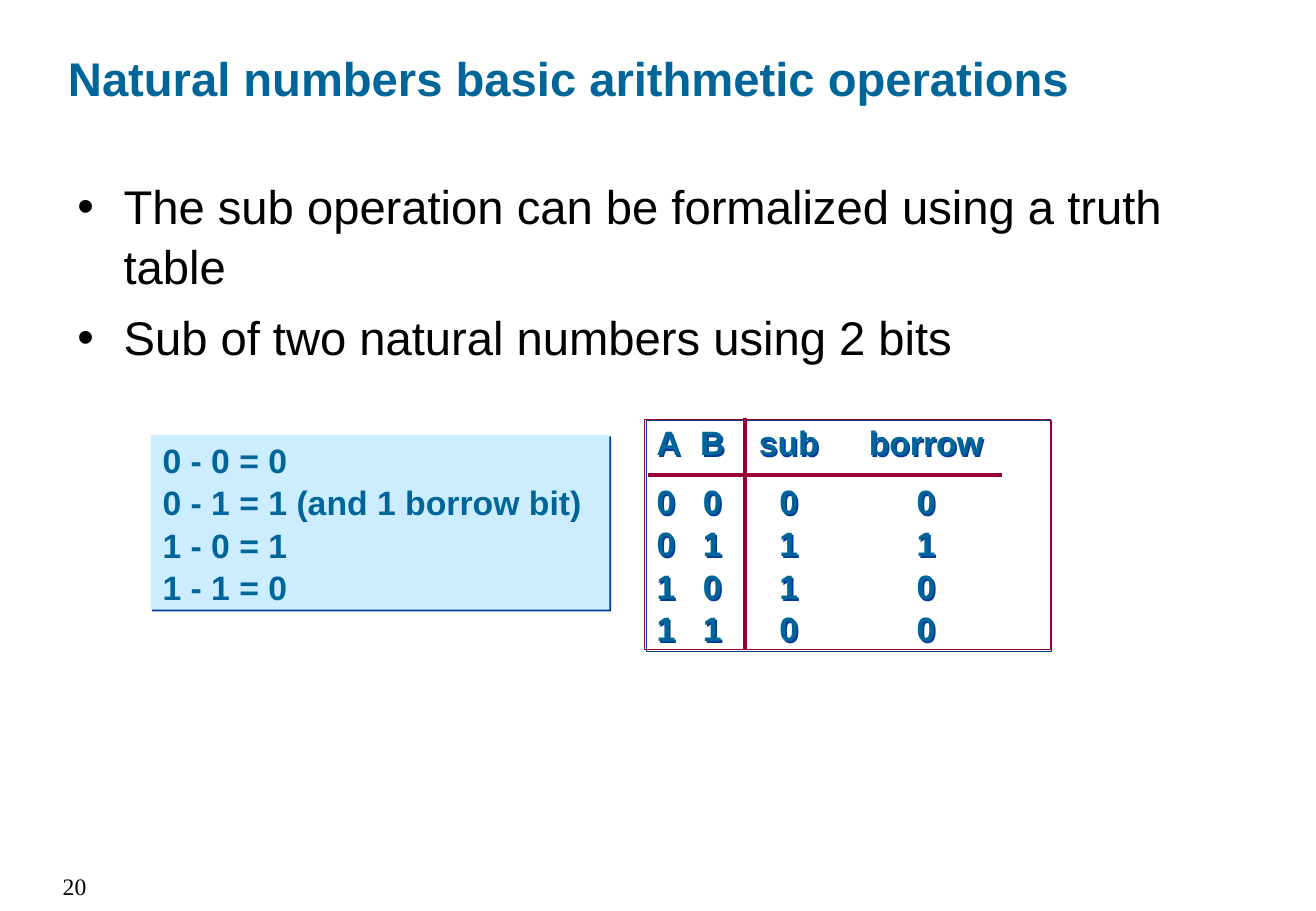
from lxml.etree import SubElement
from pptx import Presentation
from pptx.dml.color import RGBColor
from pptx.enum.shapes import MSO_CONNECTOR as Link, MSO_SHAPE as Form
from pptx.enum.text import MSO_ANCHOR as Anchor, MSO_AUTO_SIZE as Fit, PP_ALIGN as Align
from pptx.oxml.ns import qn
from pptx.util import Inches, Pt

BLUE, RED, PALE, NAVY, BLACK = "006699", "990033", "CCECFF", "003D99", "000000"
SUMS = ["0 - 0 = 0", "0 - 1 = 1 (and 1 borrow bit)", "1 - 0 = 1", "1 - 1 = 0"]
ROWS = [("A", "B", "sub", "borrow"), (0, 0, 0, 0), (0, 1, 1, 1), (1, 0, 1, 0), (1, 1, 0, 0)]
STOPS = [0.46, 1.09, 2.22]
POINTS = ["The sub operation can be formalized using a truth table",
          "Sub of two natural numbers using 2 bits"]


def color(code):
    return RGBColor.from_string(code)


def place(shape, box):
    shape.left, shape.top, shape.width, shape.height = map(Inches, box)


def write(shape, lines, size=20, tint=BLUE, bold=True, face="Arial",
          align=Align.LEFT, anchor=Anchor.MIDDLE, gaps=(), pitch=1.05,
          stops=(), bullet=None):
    frame = shape.text_frame
    frame.word_wrap, frame.auto_size = True, Fit.NONE
    frame.vertical_anchor = anchor
    frame.margin_left = frame.margin_right = Inches(0.1)
    frame.margin_top = frame.margin_bottom = Inches(0.05)
    for i, line in enumerate(lines):
        para = frame.add_paragraph() if i else frame.paragraphs[0]
        para.text = line
        para.alignment, para.line_spacing = align, pitch
        para.space_before = Pt(gaps[i] if i < len(gaps) else 0)
        props = para._p.get_or_add_pPr()
        if bullet:
            props.set("marL", str(Inches(0.38)))
            props.set("indent", str(-Inches(0.38)))
            SubElement(props, qn("a:buFont"), typeface="Arial")
            SubElement(props, qn("a:buChar"), char=bullet)
        if stops:
            tabs = SubElement(props, qn("a:tabLst"))
            for stop in stops:
                SubElement(tabs, qn("a:tab"), pos=str(Inches(stop)), algn="ctr")
        font = para.font
        font.size, font.bold, font.name = Pt(size), bold, face
        font.color.rgb = color(tint)


def label(slide, box, lines, **style):
    write(slide.shapes.add_textbox(*map(Inches, box)), lines, **style)


def panel(slide, box, fill=None, edge=None):
    shape = slide.shapes.add_shape(Form.RECTANGLE, *map(Inches, box))
    if fill:
        shape.fill.solid()
        shape.fill.fore_color.rgb = color(fill)
    else:
        shape.fill.background()
    if edge:
        shape.line.color.rgb, shape.line.width = color(edge), Pt(0.5)
    else:
        shape.line.fill.background()
    shape.shadow.inherit = False
    effects = shape._element.spPr.find(qn("a:effectLst"))
    shade = SubElement(effects, qn("a:outerShdw"), dist=str(Pt(1.4)),
                       dir="2700000", algn="ctr", rotWithShape="0")
    SubElement(shade, qn("a:srgbClr"), val=NAVY)
    return shape


def rule(slide, *ends):
    line = slide.shapes.add_connector(Link.STRAIGHT, *map(Inches, ends))
    line.line.color.rgb, line.line.width = color(RED), Pt(2.25)
    SubElement(line._element.spPr, qn("a:effectLst"))


def heading(slide, box):
    title = slide.shapes.title
    place(title, box)
    write(title, ["Natural numbers basic arithmetic operations"], size=28,
          anchor=Anchor.BOTTOM)


def truth(slide, box):
    left, top, width, height = box
    lines = ["\t".join(map(str, row)) for row in ROWS]
    write(panel(slide, box, edge=RED), lines, gaps=(0, 9.5), stops=STOPS)
    rule(slide, left + 0.03, top + 0.46, left + 2.94, top + 0.46)
    rule(slide, left + 0.83, top - 0.01, left + 0.83, top + height)


def main():
    deck = Presentation()
    deck.slide_width, deck.slide_height = Inches(10.84), Inches(7.5)
    slide = deck.slides.add_slide(deck.slide_layouts[5])
    heading(slide, (0.46, 0.35, 9.76, 0.57))
    label(slide, (0.54, 1.39, 10.04, 1.61), POINTS, size=28, tint=BLACK,
          bold=False, anchor=Anchor.TOP, gaps=(0, 7), bullet="•")
    write(panel(slide, (1.24, 3.58, 3.78, 1.44), fill=PALE), SUMS)
    truth(slide, (5.31, 3.45, 3.34, 1.9))
    label(slide, (0, 7.13, 0.81, 0.37), ["20"], size=14, tint=BLACK, bold=False,
          face="Times New Roman", align=Align.RIGHT, anchor=Anchor.TOP, pitch=1.0)
    deck.save("out.pptx")


if __name__ == "__main__":
    main()
